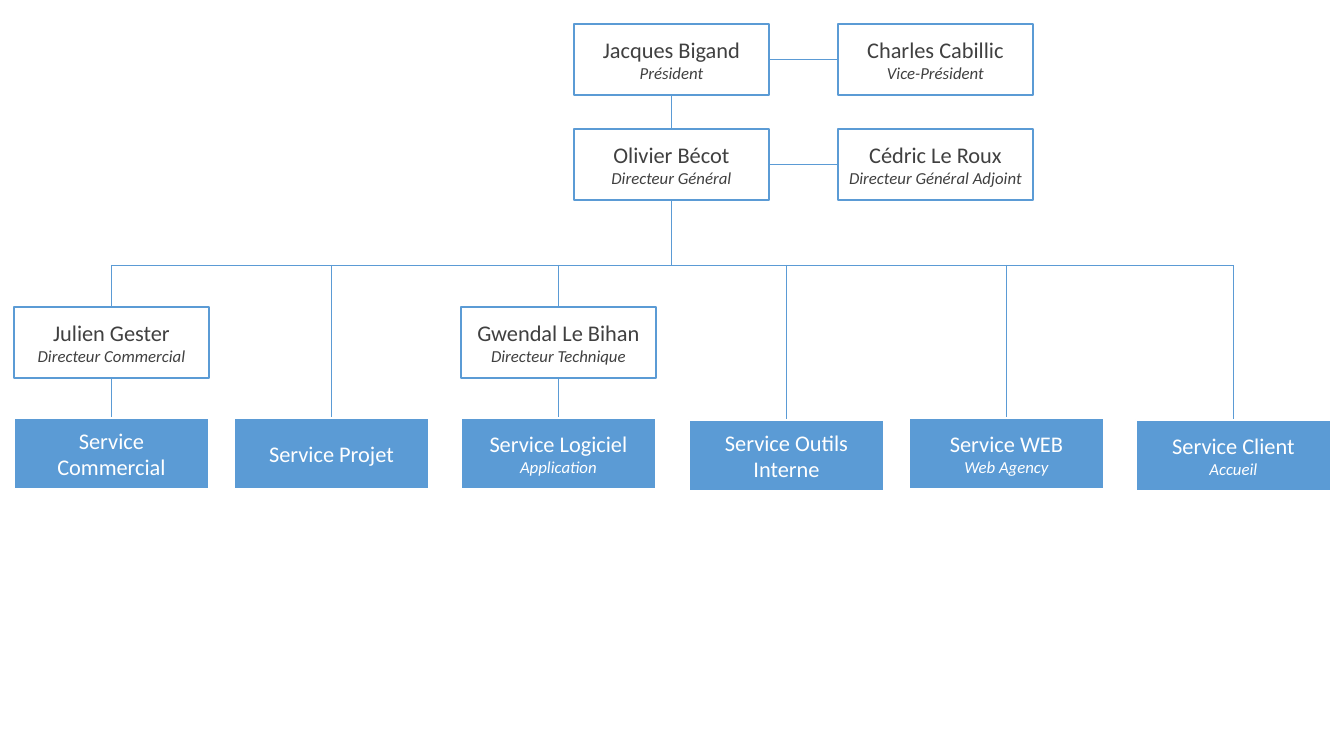
from pptx import Presentation
from pptx.dml.color import RGBColor as Rgb
from pptx.enum.shapes import MSO_CONNECTOR as Link, MSO_SHAPE as Form
from pptx.enum.text import MSO_ANCHOR as Anchor, PP_ALIGN as Align
from pptx.oxml.ns import qn
from pptx.util import Pt
from lxml.etree import SubElement

SCALE = 914400 / 100.8
WIDE, HIGH = 195, 71
HALF, MID = WIDE // 2, HIGH // 2
HUES = {"blue": "5B9BD5", "white": "FFFFFF", "dark": "404040"}
LOOKS = {
    "person": {"fill": "white", "edge": "blue", "text": "dark", "line": 1},
    "service": {"fill": "blue", "edge": "white", "text": "white", "line": 1.5},
}
FONTS = [
    {"name": "Calibri", "size": Pt(16), "italic": False},
    {"name": "Calibri", "size": Pt(12), "italic": True},
]


def emu(*sizes):
    return [round(size * SCALE) for size in sizes]


def hue(name):
    return Rgb.from_string(HUES[name])


class Chart:
    def __init__(self, deck):
        self.slide = deck.slides.add_slide(deck.slide_layouts[6])

    def box(self, left, top, kind, *lines):
        look = LOOKS[kind]
        shape = self.slide.shapes.add_shape(
            Form.RECTANGLE, *emu(left, top, WIDE, HIGH))
        shape.shadow.inherit = False
        shape.fill.solid()
        shape.fill.fore_color.rgb = hue(look["fill"])
        shape.line.color.rgb = hue(look["edge"])
        shape.line.width = Pt(look["line"])
        frame = shape.text_frame
        frame.word_wrap = True
        frame.vertical_anchor = Anchor.MIDDLE
        for rank, (text, style) in enumerate(zip(lines, FONTS)):
            para = frame.add_paragraph() if rank else frame.paragraphs[0]
            para.alignment = Align.CENTER
            run = para.add_run()
            run.text = text
            for key, value in style.items():
                setattr(run.font, key, value)
            run.font.color.rgb = hue(look["text"])

    def line(self, *ends):
        link = self.slide.shapes.add_connector(Link.STRAIGHT, *emu(*ends))
        link.line.color.rgb = hue("blue")
        link.line.width = Pt(0.5)
        SubElement(link._element.spPr, qn("a:effectLst"))


deck = Presentation()
deck.slide_width, deck.slide_height = emu(1344, 756)
chart = Chart(deck)

HEAD, AIDE = 574, 838
BUS, CHIEF = 265, 307
CORE = HEAD + HALF

leaders = [
    (24, ("Jacques Bigand", "Président"),
     ("Charles Cabillic", "Vice-Président")),
    (129, ("Olivier Bécot", "Directeur Général"),
     ("Cédric Le Roux", "Directeur Général Adjoint")),
]
for (top, head, aide), low in zip(leaders, (129, BUS)):
    chart.box(HEAD, top, "person", *head)
    chart.box(AIDE, top, "person", *aide)
    chart.line(HEAD + WIDE, top + MID, AIDE, top + MID)
    chart.line(CORE, top + HIGH, CORE, low)

teams = [
    (14, 418, ("Service Commercial",),
     ("Julien Gester", "Directeur Commercial")),
    (234, 418, ("Service Projet",), None),
    (461, 418, ("Service Logiciel", "Application"),
     ("Gwendal Le Bihan", "Directeur Technique")),
    (689, 420, ("Service Outils Interne",), None),
    (909, 418, ("Service WEB", "Web Agency"), None),
    (1136, 420, ("Service Client", "Accueil"), None),
]
chart.line(teams[0][0] + HALF, BUS, teams[-1][0] + HALF, BUS)
for left, top, team, chief in teams:
    axis = left + HALF
    if chief:
        chart.line(axis, BUS, axis, CHIEF)
        chart.box(left, CHIEF, "person", *chief)
    chart.line(axis, CHIEF + HIGH if chief else BUS, axis, top)
    chart.box(left, top, "service", *team)

deck.save("out.pptx")
